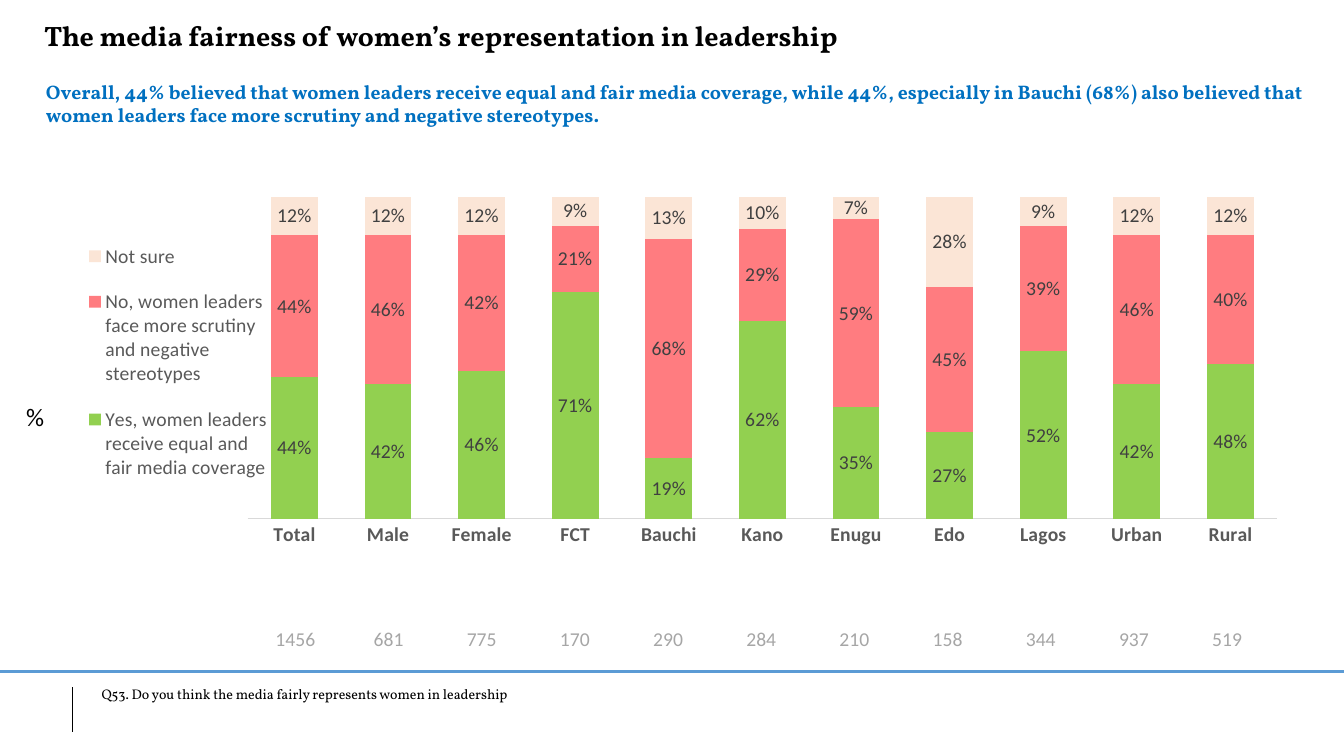
import pptx
import pptx.chart.data
import pptx.dml.color
import pptx.enum.chart
import pptx.enum.shapes
import pptx.enum.text
import pptx.oxml
import pptx.oxml.ns
import pptx.util
from dataclasses import dataclass

Cm, Pt = pptx.util.Cm, pptx.util.Pt


@dataclass(frozen=True)
class Theme:
    serif: str = "Vollkorn"
    sans: str = "Calibri"
    black: str = "000000"
    blue: str = "0070C0"
    rule: str = "5B9BD5"
    axis_text: str = "595959"
    label_text: str = "404040"
    base_text: str = "A6A6A6"
    axis_line: str = "D9D9D9"
    yes: str = "92D050"
    no: str = "FF7C80"
    unsure: str = "FBE5D6"
    title_size: int = 20
    unit_size: int = 18
    body_size: int = 14
    note_size: int = 10


T = Theme()

TEXTS = [
    ("Q53. Do you think the media fairly represents women in leadership",
     (2.31, 17.15, 29.57, 0.69), T.serif, T.note_size, T.black, False),
    ("The media fairness of women’s representation in leadership",
     (0.86, 0.33, 22.61, 1.12), T.serif, T.title_size, T.black, True),
    ("%", (0.41, 9.98, 1.5, 1.02), T.sans, T.unit_size, T.black, False),
    ("Overall, 44% believed that women leaders receive equal and fair media coverage, "
     "while 44%, especially in Bauchi (68%) also believed that women leaders face more "
     "scrutiny and negative stereotypes.",
     (0.91, 1.88, 32.54, 1.45), T.serif, T.body_size, T.blue, True),
]

LINES = [
    ((0, 16.92, 33.87, 16.92), T.rule, 2.25),
    ((1.83, 17.32, 1.83, 18.44), T.black, 0.5),
]

GROUPS = ["Total", "Male", "Female", "FCT", "Bauchi", "Kano", "Enugu", "Edo",
          "Lagos", "Urban", "Rural"]
BASES = [1456, 681, 775, 170, 290, 284, 210, 158, 344, 937, 519]
ANSWERS = [
    ("Yes, women leaders receive equal and fair media coverage", T.yes,
     [0.44, 0.42, 0.46, 0.71, 0.19, 0.62, 0.35, 0.27, 0.52, 0.42, 0.48]),
    ("No, women leaders face more scrutiny and negative stereotypes", T.no,
     [0.44, 0.46, 0.42, 0.21, 0.68, 0.29, 0.59, 0.45, 0.39, 0.46, 0.4]),
    ("Not sure", T.unsure,
     [0.12, 0.12, 0.12, 0.09, 0.13, 0.1, 0.07, 0.28, 0.09, 0.12, 0.12]),
]

CHART_BOX = (1.88, 4.22, 30.71, 10.01)
PLOT_LAYOUT = (0.142, 0.074, 0.845, 0.811)
LEGEND_LAYOUT = (0.01, 0.14, 0.15, 0.7)
TABLE_BOX = (6.27, 15.7, 25.83, 0.71)


def rgb(value):
    return pptx.dml.color.RGBColor.from_string(value)


def style(font, name, size, color, bold=False):
    font.name, font.size, font.bold = name, Pt(size), bold
    font.color.rgb = rgb(color)


def add_text(slide, text, box, name, size, color, bold):
    tf = slide.shapes.add_textbox(*map(Cm, box)).text_frame
    tf.word_wrap = True
    p = tf.paragraphs[0]
    p.text = text
    style(p.font, name, size, color, bold)


def add_line(slide, ends, color, width):
    line = slide.shapes.add_connector(
        pptx.enum.shapes.MSO_CONNECTOR.STRAIGHT, *map(Cm, ends))
    line.line.color.rgb = rgb(color)
    line.line.width = Pt(width)
    sp_pr = line._element.spPr
    sp_pr.append(pptx.oxml.parse_xml(
        f"<a:effectLst {pptx.oxml.ns.nsdecls('a')}/>"))


def manual_layout(box, inner=False):
    target = '<c:layoutTarget val="inner"/>' if inner else ""
    modes = '<c:xMode val="edge"/><c:yMode val="edge"/>'
    sizes = "".join(f'<c:{k} val="{v}"/>' for k, v in zip("xywh", box))
    return pptx.oxml.parse_xml(
        f"<c:layout {pptx.oxml.ns.nsdecls('c')}><c:manualLayout>"
        f"{target}{modes}{sizes}</c:manualLayout></c:layout>")


def place(parent, index, layout):
    for old in parent.findall(pptx.oxml.ns.qn("c:layout")):
        parent.remove(old)
    parent.insert(index, layout)


def add_answers_chart(slide):
    data = pptx.chart.data.CategoryChartData(number_format="0%")
    data.categories = GROUPS
    for name, _, values in ANSWERS:
        data.add_series(name, values)
    chart = slide.shapes.add_chart(
        pptx.enum.chart.XL_CHART_TYPE.COLUMN_STACKED_100,
        *map(Cm, CHART_BOX), data).chart
    style(chart.font, T.sans, T.note_size, T.black)
    chart.has_title = False

    chart.has_legend = True
    legend = chart.legend
    legend.position = pptx.enum.chart.XL_LEGEND_POSITION.LEFT
    legend.include_in_layout = False
    style(legend.font, T.sans, T.body_size, T.axis_text)
    place(legend._element, 1, manual_layout(LEGEND_LAYOUT))
    place(chart._chartSpace.chart.plotArea, 0, manual_layout(PLOT_LAYOUT, True))

    no_tick = pptx.enum.chart.XL_TICK_MARK.NONE
    axis = chart.category_axis
    axis.major_tick_mark = axis.minor_tick_mark = no_tick
    axis.format.line.color.rgb = rgb(T.axis_line)
    axis.format.line.width = Pt(0.75)
    style(axis.tick_labels.font, T.sans, T.body_size, T.axis_text, True)
    chart.value_axis.has_major_gridlines = False
    chart.value_axis.visible = False

    plot = chart.plots[0]
    plot.gap_width, plot.overlap = 100, 100
    plot.vary_by_categories = False
    for series, (_, color, _) in zip(plot.series, ANSWERS):
        series.format.fill.solid()
        series.format.fill.fore_color.rgb = rgb(color)
        labels = series.data_labels
        labels.show_value = True
        labels.number_format, labels.number_format_is_linked = "0%", False
        labels.position = pptx.enum.chart.XL_LABEL_POSITION.CENTER
        style(labels.font, T.sans, T.body_size, T.label_text)


def add_base_table(slide):
    table = slide.shapes.add_table(1, len(BASES), *map(Cm, TABLE_BOX)).table
    table.first_row = table.horz_banding = False
    for column, cell, base in zip(table.columns, table.rows[0].cells, BASES):
        column.width = Cm(TABLE_BOX[2] / len(BASES))
        cell.fill.background()
        cell.vertical_anchor = pptx.enum.text.MSO_ANCHOR.BOTTOM
        cell.margin_left = cell.margin_right = cell.margin_top = Cm(0.03)
        cell.margin_bottom = 0
        p = cell.text_frame.paragraphs[0]
        p.text = str(base)
        p.alignment = pptx.enum.text.PP_ALIGN.CENTER
        style(p.font, T.sans, T.body_size, T.base_text)
        tc_pr = cell._tc.get_or_add_tcPr()
        for i, side in enumerate(("lnL", "lnR", "lnT", "lnB")):
            tc_pr.insert(i, pptx.oxml.parse_xml(
                f"<a:{side} {pptx.oxml.ns.nsdecls('a')}><a:noFill/></a:{side}>"))


def main():
    prs = pptx.Presentation()
    prs.slide_width, prs.slide_height = Cm(33.87), Cm(19.05)
    slide = prs.slides.add_slide(prs.slide_layouts[6])
    for line in LINES:
        add_line(slide, *line)
    for text in TEXTS:
        add_text(slide, *text)
    add_answers_chart(slide)
    add_base_table(slide)
    prs.save("out.pptx")


if __name__ == "__main__":
    main()
